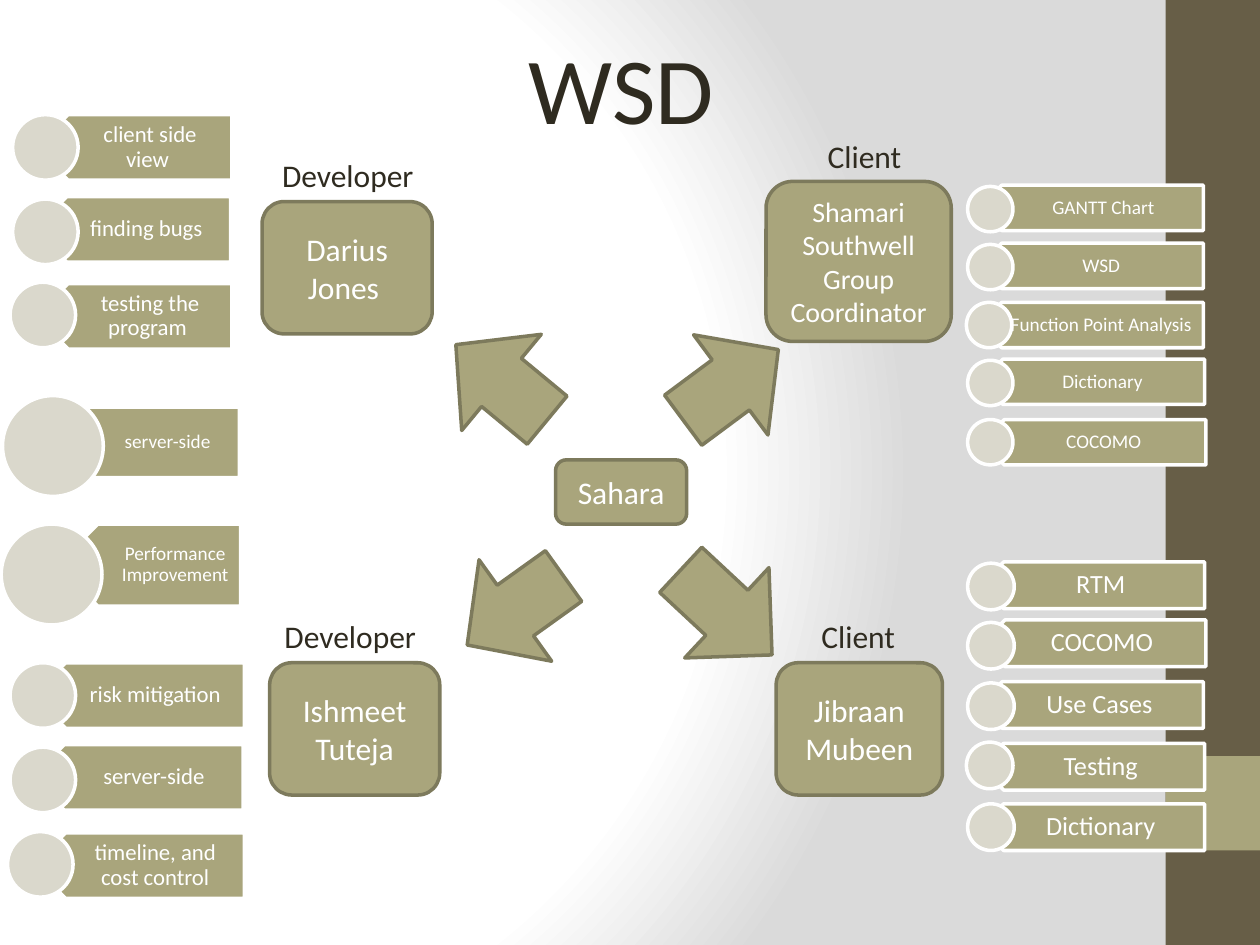
from pptx import Presentation
from pptx.dml.color import RGBColor
from pptx.enum.shapes import MSO_SHAPE
from pptx.enum.text import MSO_ANCHOR, PP_ALIGN
from pptx.oxml import parse_xml
from pptx.oxml.ns import qn
from pptx.util import Inches, Pt

FONT = "Calibri"
OLIVE, OLIVE_DARK, BROWN = "A9A57C", "7D7A5C", "675E47"
STONE, WHITE, INK = "DAD8CC", "FFFFFF", "2F2B20"

BACKGROUND = """
<a:gradFill xmlns:a="http://schemas.openxmlformats.org/drawingml/2006/main" rotWithShape="1">
  <a:gsLst>
    <a:gs pos="0"><a:srgbClr val="FFFFFF"/></a:gs>
    <a:gs pos="75000"><a:srgbClr val="FFFFFF"/></a:gs>
    <a:gs pos="100000"><a:srgbClr val="DADADA"/></a:gs>
  </a:gsLst>
  <a:path path="circle"><a:fillToRect l="20000" t="50000" r="100000" b="50000"/></a:path>
</a:gradFill>"""

# Name, size, left, top, width, height
PEOPLE = [
    ("Sahara", 18, 4.41, 3.65, 1.04, 0.51),
    ("Jibraan Mubeen", 18, 6.16, 5.26, 1.32, 1.05),
    ("Ishmeet Tuteja", 18, 2.14, 5.26, 1.35, 1.05),
    ("Darius Jones ", 18, 2.08, 1.6, 1.35, 1.05),
    ("Shamari Southwell\nGroup Coordinator", 16, 6.08, 1.44, 1.47, 1.27),
]

# Role, left, top, width
ROLES = [
    ("Developer", 2.14, 1.19, 1.26),
    ("Developer", 2.16, 4.85, 1.26),
    ("Client", 6.47, 1.04, 0.79),
    ("Client", 6.42, 4.85, 0.79),
]

# Left, top, width, height, rotation
ARROWS = [
    (3.51, 2.54, 0.94, 0.99, 219.6),
    (3.62, 4.35, 0.94, 0.99, 144.4),
    (5.33, 2.56, 0.94, 0.99, 323.4),
    (5.27, 4.37, 0.99, 0.98, 43),
]

# Bar width, bar height, dot diameter, text size, text insets, then the tasks:
# task, bar left, bar top, dot left, dot top
TASK_LISTS = [
    (1.78, 0.36, 0.36, 11, (0.16, 0.05, 0.09, 0.05), [
        (" GANTT Chart", 7.77, 1.47, 7.68, 1.48),
        ("WSD", 7.77, 1.93, 7.68, 1.94),
        ("Function Point Analysis", 7.77, 2.4, 7.67, 2.4),
        ("Dictionary", 7.78, 2.85, 7.68, 2.86),
        ("COCOMO", 7.79, 3.33, 7.68, 3.33)]),
    (1.78, 0.37, 0.37, 15, (0.16, 0.06, 0.12, 0.06), [
        ("RTM", 7.78, 4.46, 7.68, 4.47),
        ("COCOMO", 7.79, 4.92, 7.68, 4.94),
        ("Use Cases", 7.77, 5.41, 7.68, 5.42),
        ("Testing", 7.78, 5.9, 7.67, 5.89),
        ("Dictionary", 7.78, 6.38, 7.68, 6.38)]),
    (1.68, 0.52, 0.52, 13, (0.23, 0.05, 0.1, 0.05), [
        ("risk mitigation", 0.26, 5.26, 0.08, 5.26),
        ("server-side", 0.25, 5.91, 0.08, 5.93),
        ("timeline, and cost control", 0.26, 6.61, 0.06, 6.6)]),
    (1.54, 0.56, 0.8, 11, (0.35, 0.05, 0.09, 0.05), [
        ("server-side", 0.36, 3.23, 0.02, 3.14)]),
    (1.46, 0.65, 0.8, 11, (0.35, 0.05, 0.09, 0.05), [
        ("Performance Improvement", 0.45, 4.16, 0.01, 4.16)]),
    (1.56, 0.52, 0.52, 13, (0.23, 0.05, 0.1, 0.05), [
        ("client side view ", 0.28, 0.91, 0.1, 0.91),
        ("finding bugs ", 0.27, 1.56, 0.1, 1.58),
        ("testing the program ", 0.28, 2.25, 0.08, 2.24)]),
]


def rgb(color):
    return RGBColor.from_string(color)


def add_figure(slide, kind, box, fill, line=None, rotation=0):
    figure = slide.shapes.add_shape(kind, *map(Inches, box))
    figure.shadow.inherit = False
    figure.rotation = rotation
    figure.fill.solid()
    figure.fill.fore_color.rgb = rgb(fill)
    if line:
        figure.line.color.rgb = rgb(line)
        figure.line.width = Pt(2)
    else:
        figure.line.fill.background()
    return figure


def write(frame, text, size, color, align=PP_ALIGN.CENTER, spacing=None):
    frame.text = text
    for paragraph in frame.paragraphs:
        paragraph.alignment = align
        paragraph.line_spacing = spacing
        for run in paragraph.runs:
            run.font.name = FONT
            run.font.size = Pt(size)
            run.font.color.rgb = rgb(color)


def add_heading(slide, text, box, size, align):
    heading = slide.shapes.add_textbox(*map(Inches, box))
    heading.text_frame.word_wrap = False
    write(heading.text_frame, text, size, INK, align)


def add_person(slide, name, size, *box):
    person = add_figure(slide, MSO_SHAPE.ROUNDED_RECTANGLE, box, OLIVE, OLIVE_DARK)
    person.text_frame.word_wrap = True
    person.text_frame.vertical_anchor = MSO_ANCHOR.MIDDLE
    write(person.text_frame, name, size, WHITE)


def add_task_list(slide, width, height, diameter, size, insets, tasks):
    point = height / 4  # the label starts halfway along the bar's point
    for task, left, top, dot_left, dot_top in tasks:
        add_figure(slide, MSO_SHAPE.PENTAGON, (left, top, width, height),
                   OLIVE, WHITE, 180)
        label = slide.shapes.add_textbox(
            *map(Inches, (left + point, top, width - point, height)))
        frame = label.text_frame
        frame.word_wrap = True
        frame.vertical_anchor = MSO_ANCHOR.MIDDLE
        (frame.margin_left, frame.margin_top,
         frame.margin_right, frame.margin_bottom) = map(Inches, insets)
        write(frame, task, size, WHITE, spacing=0.9)
        add_figure(slide, MSO_SHAPE.OVAL, (dot_left, dot_top, diameter, diameter),
                   STONE, WHITE)


def paint_background(slide):
    slide.background.fill.gradient()
    gradient = next(slide.element.iter(qn("a:gradFill")))
    gradient.getparent().replace(gradient, parse_xml(BACKGROUND))


def main():
    deck = Presentation()
    deck.slide_width, deck.slide_height = Inches(10), Inches(7.5)
    slide = deck.slides.add_slide(deck.slide_layouts[6])

    # Backdrop and side band
    paint_background(slide)
    add_figure(slide, MSO_SHAPE.RECTANGLE, (9.25, 0, 0.75, 7.5), BROWN)
    add_figure(slide, MSO_SHAPE.RECTANGLE, (9.25, 6, 0.75, 0.75), OLIVE)

    # Team around the project
    for person in PEOPLE:
        add_person(slide, *person)
    for role, left, top, width in ROLES:
        add_heading(slide, role, (left, top, width, 0.4), 18, PP_ALIGN.LEFT)
    for *box, rotation in ARROWS:
        add_figure(slide, MSO_SHAPE.RIGHT_ARROW, box, OLIVE, OLIVE_DARK, rotation)

    # Tasks of each member
    for task_list in TASK_LISTS:
        add_task_list(slide, *task_list)

    # Title
    add_heading(slide, "WSD", (4.09, 0.19, 1.68, 1.01), 54, PP_ALIGN.CENTER)

    deck.save("out.pptx")


if __name__ == "__main__":
    main()
